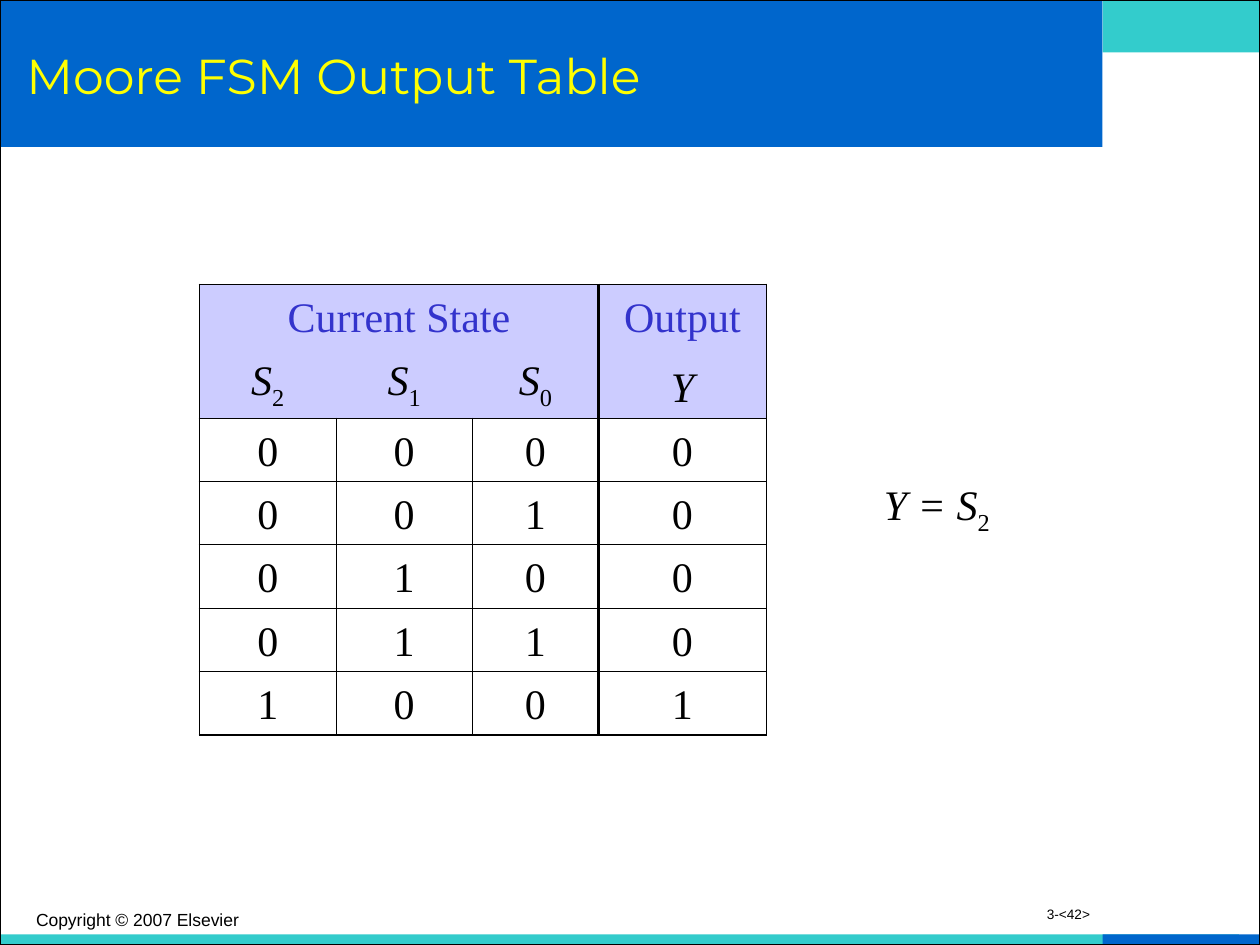
from lxml import etree
from pptx import Presentation
from pptx.dml.color import RGBColor
from pptx.enum.shapes import MSO_SHAPE
from pptx.enum.text import MSO_ANCHOR, PP_ALIGN
from pptx.oxml.ns import qn
from pptx.util import Inches, Pt

RECTANGLE = MSO_SHAPE.RECTANGLE
LEFT, CENTER, RIGHT = PP_ALIGN.LEFT, PP_ALIGN.CENTER, PP_ALIGN.RIGHT
TOP, MIDDLE, BOTTOM = MSO_ANCHOR.TOP, MSO_ANCHOR.MIDDLE, MSO_ANCHOR.BOTTOM

COLORS = {
    "black": "000000",
    "blue": "0066CC",
    "teal": "33CCCC",
    "yellow": "FFFF00",
    "lavender": "CCCCFF",
    "indigo": "3333CC",
}
SERIF, SANS, HEADING = "Times New Roman", "Arial", "Montserrat"

HEADER_ROWS = 2
COLUMN_EDGES = [1.08, 0.45, 0.45, 1.47, 1.08]
ROW_EDGES = [1.08, None, 0.45, 0.45, 0.45, 0.45, 0.45, 1.08]
STATES = [
    ["Current State", "", "", "Output"],
    ["S_2", "S_1", "S_0", "Y"],
    ["0", "0", "0", "0"],
    ["0", "0", "1", "0"],
    ["0", "1", "0", "0"],
    ["0", "1", "1", "0"],
    ["1", "0", "0", "1"],
]


def color(name):
    return RGBColor.from_string(COLORS[name])


def write(frame, text, *, size=24, font=SERIF, ink="black", italic=False,
          align=LEFT, spacing=None):
    """Fill a text frame with one paragraph; an underscore starts a subscript."""
    para = frame.paragraphs[0]
    para.alignment = align
    if spacing:
        para.line_spacing = spacing
    for index, part in enumerate(text.split("_")):
        span = para.add_run()
        span.text = part
        span.font.size = Pt(size)
        span.font.name = font
        span.font.color.rgb = color(ink)
        span.font.italic = italic and index == 0
        if index:
            span._r.get_or_add_rPr().set("baseline", "-25000")


def draw_border(cell, side, width):
    line = etree.SubElement(cell._tc.get_or_add_tcPr(), qn(f"a:ln{side}"))
    if width is None:
        etree.SubElement(line, qn("a:noFill"))
        return
    line.set("w", str(Pt(width)))
    fill = etree.SubElement(line, qn("a:solidFill"))
    etree.SubElement(fill, qn("a:srgbClr")).set("val", COLORS["black"])


def column_edge(row, edge):
    inner = edge in (1, 2)
    return None if row < HEADER_ROWS and inner else COLUMN_EDGES[edge]


class SlideBuilder:
    """Places elements on a page divided into 120 columns and 90 rows."""

    COLUMNS, ROWS = 120, 90

    def __init__(self, deck):
        self.unit_x = deck.slide_width / self.COLUMNS
        self.unit_y = deck.slide_height / self.ROWS
        self.page = deck.slides.add_slide(deck.slide_layouts[6])

    def place(self, left, top, width, height):
        return (round(left * self.unit_x), round(top * self.unit_y),
                round(width * self.unit_x), round(height * self.unit_y))

    def rectangle(self, *area, fill=None, line=None):
        box = self.page.shapes.add_shape(RECTANGLE, *self.place(*area))
        box.shadow.inherit = False
        if fill:
            box.fill.solid()
            box.fill.fore_color.rgb = color(fill)
        else:
            box.fill.background()
        if line:
            box.line.color.rgb = color(line)
            box.line.width = Pt(0.75)
        else:
            box.line.fill.background()

    def text(self, *area, text, anchor=TOP, **style):
        frame = self.page.shapes.add_textbox(*self.place(*area)).text_frame
        frame.word_wrap = True
        frame.vertical_anchor = anchor
        write(frame, text, **style)

    def state_table(self, left, top, widths, heights, values):
        area = self.place(left, top, sum(widths), sum(heights))
        table = self.page.shapes.add_table(len(heights), len(widths), *area).table
        for column, width in zip(table.columns, widths):
            column.width = round(width * self.unit_x)
        for row, height in zip(table.rows, heights):
            row.height = round(height * self.unit_y)
        table.cell(0, 0).merge(table.cell(0, 2))
        for row, line in enumerate(values):
            for column, value in enumerate(line):
                cell = table.cell(row, column)
                if not cell.is_spanned:
                    self.state_cell(cell, row, column, value)

    def state_cell(self, cell, row, column, value):
        cell.vertical_anchor = BOTTOM
        write(cell.text_frame, value, align=CENTER, italic=row == 1,
              ink="indigo" if row == 0 else "black")
        end = column + (cell.span_width if cell.is_merge_origin else 1)
        draw_border(cell, "L", column_edge(row, column))
        draw_border(cell, "R", column_edge(row, end))
        draw_border(cell, "T", ROW_EDGES[row])
        draw_border(cell, "B", ROW_EDGES[row + 1])
        if row < HEADER_ROWS:
            cell.fill.solid()
            cell.fill.fore_color.rgb = color("lavender")
        else:
            cell.fill.background()


def main():
    deck = Presentation()
    deck.slide_width, deck.slide_height = Inches(10), Inches(7.5)
    slide = SlideBuilder(deck)

    slide.rectangle(105, 0, 15, 5, fill="teal")
    slide.rectangle(0, 89, 118, 1, fill="teal")
    slide.rectangle(105, 89, 15, 1, fill="blue")
    slide.rectangle(0, 0, 105, 14, fill="blue")
    slide.rectangle(0, 0, 120, 90, line="black")

    slide.text(1.33, 1.33, 102, 11.67, text="Moore FSM Output Table",
               anchor=MIDDLE, size=28, font=HEADING, ink="yellow")
    slide.state_table(19, 27.1, [13, 13, 12, 16], [6, 6.7] + [6.04] * 5, STATES)
    slide.text(2.25, 86, 38, 3, text="Copyright © 2007 Elsevier", size=10, font=SANS)
    slide.text(80, 86, 25, 3, text="3-<42>", size=7.8, font=SANS,
               align=RIGHT, spacing=0.8)
    slide.text(83, 45, 22, 9, text="Y = S_2", italic=True)

    deck.save("out.pptx")


if __name__ == "__main__":
    main()
